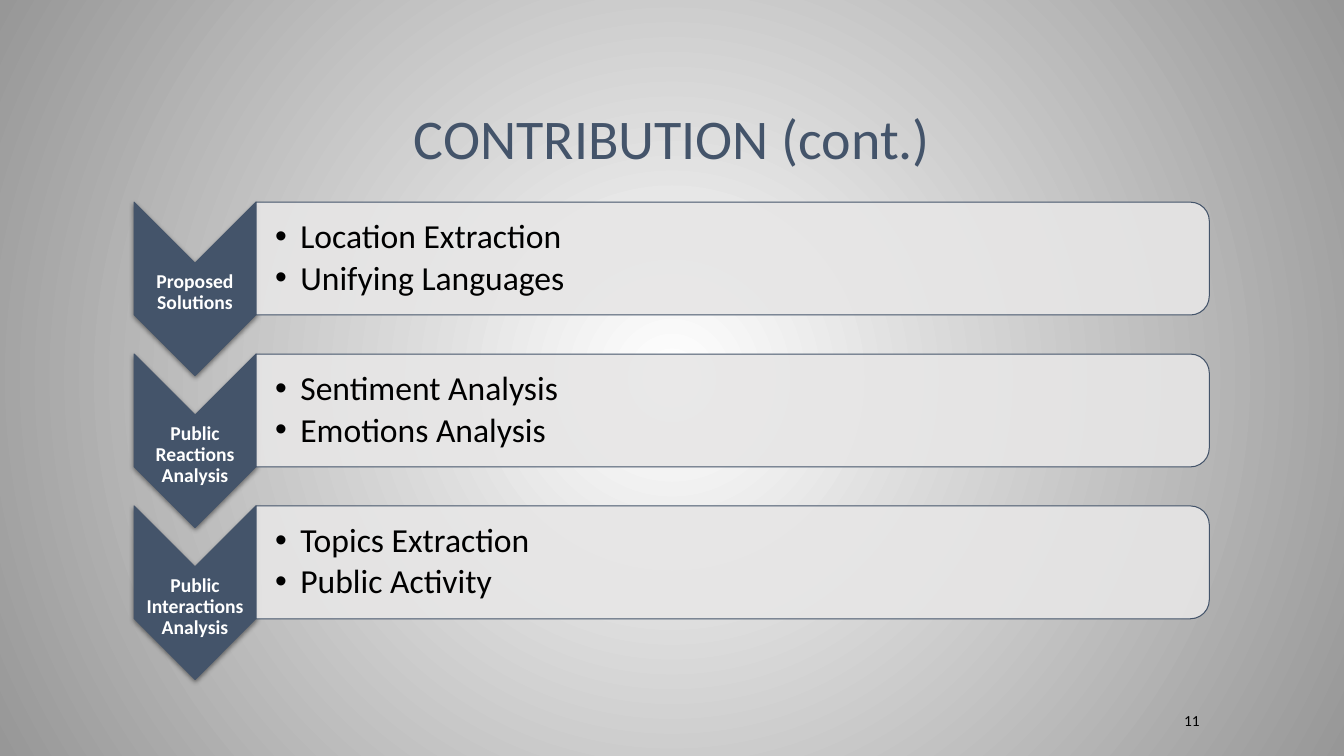
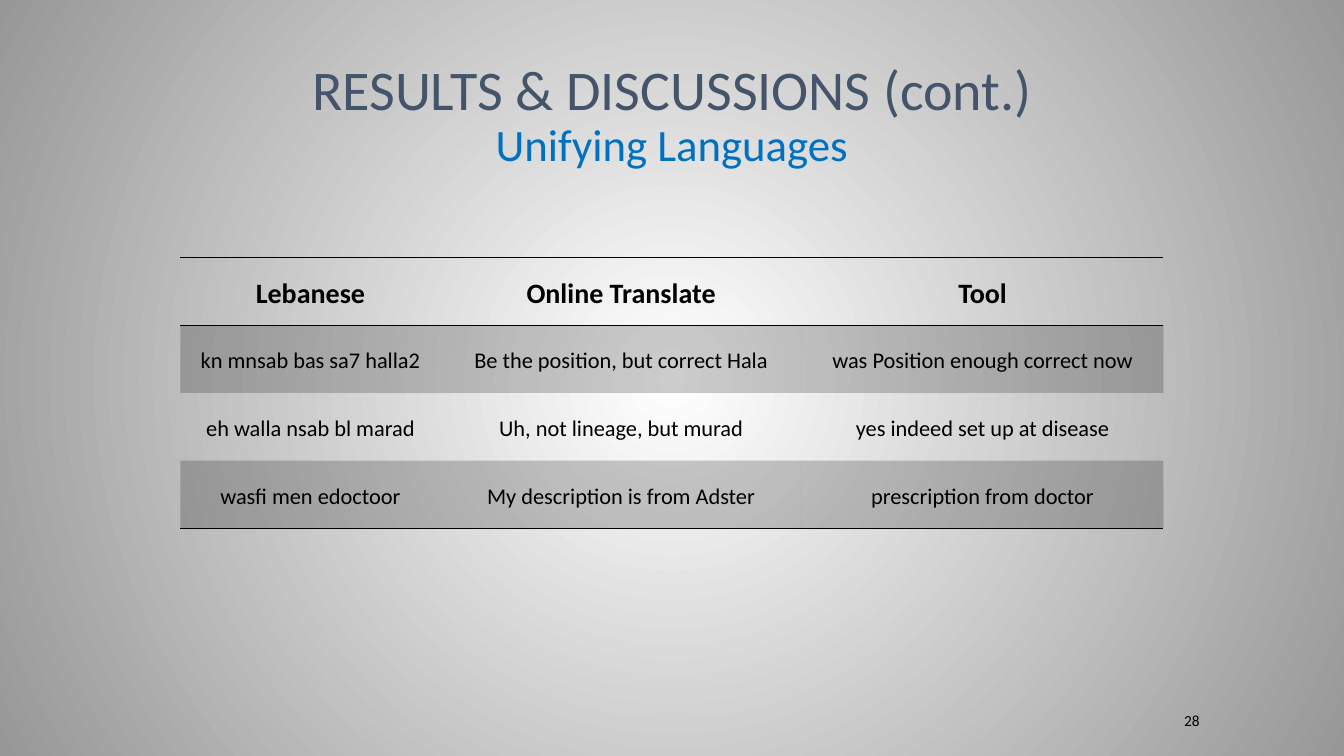
from lxml import etree
from pptx import Presentation
from pptx.dml.color import RGBColor
from pptx.enum import shapes, text
from pptx.oxml.ns import qn
from pptx.util import Pt

COLORS = {
    "navy": "44546A", "blue": "0070C0", "panel": "E7E6E6",
    "black": "000000", "white": "FFFFFF", "edge": "979797",
}
FONT = "Calibri"
NO_GRID_STYLE = "{2D5ABB26-0587-4C30-8999-92F81FD0307C}"
TITLE_BOX = (96, 21.6, 768, 104.4)
NUMBER_BOX = (774, 507.6, 90, 14.4)
STEPS_BOX = (95.76, 144.4, 768, 341)
TABLE_BOX = (128.9, 183.8, 702.1, 193.7)

STEPS = [
    ("Proposed Solutions", ["Location Extraction", "Unifying Languages"]),
    ("Public Reactions Analysis", ["Sentiment Analysis", "Emotions Analysis"]),
    ("Public Interactions Analysis", ["Topics Extraction", "Public Activity"]),
]
TRANSLATIONS = [
    ("Lebanese", "Online Translate", "Tool"),
    ("kn mnsab bas sa7 halla2", "Be the position, but correct Hala",
     "was Position enough correct now"),
    ("eh walla nsab bl marad", "Uh, not lineage, but murad",
     "yes indeed set up at disease"),
    ("wasfi men edoctoor", "My description is from Adster", "prescription from doctor"),
]


def rgb(name):
    """Return the named colour."""
    return RGBColor.from_string(COLORS[name])


def add_xml(parent, tag, **attributes):
    """Append a child element with the given attributes."""
    child = etree.SubElement(parent, qn(tag))
    for key, value in attributes.items():
        child.set(key, str(value))
    return child


def fill_solid(fill, color, opacity=100):
    """Fill with a colour, translucent if the opacity is below 100 percent."""
    fill.solid()
    fill.fore_color.rgb = rgb(color)
    if opacity < 100:
        add_xml(fill._xPr.find(".//" + qn("a:srgbClr")), "a:alpha", val=opacity * 1000)


def write(frame, content, size, color="black", bold=False, align="CENTER",
          spacing=0.9, after=0, bullet=False):
    """Add a formatted paragraph to a frame, using its empty first one if it can."""
    first = frame.paragraphs[0]
    paragraph = frame.add_paragraph() if first.runs else first
    paragraph.alignment = getattr(text.PP_ALIGN, align)
    paragraph.line_spacing = spacing
    paragraph.space_after = Pt(after)
    if bullet:
        properties = paragraph._p.get_or_add_pPr()
        properties.set("marL", str(Pt(18)))
        properties.set("indent", str(Pt(-18)))
        add_xml(properties, "a:buFont", typeface="Arial")
        add_xml(properties, "a:buChar", char="•")
    run = paragraph.add_run()
    run.text = content
    run.font.name = FONT
    run.font.size = Pt(size)
    run.font.bold = bold
    run.font.color.rgb = rgb(color)


def add_frame(slide, box, anchor="MIDDLE", insets=(7.2, 3.6, 7.2, 3.6)):
    """Add a wrapping text box and return its text frame."""
    frame = slide.shapes.add_textbox(*map(Pt, box)).text_frame
    frame.word_wrap = True
    frame.vertical_anchor = getattr(text.MSO_ANCHOR, anchor)
    (frame.margin_left, frame.margin_top,
     frame.margin_right, frame.margin_bottom) = map(Pt, insets)
    return frame


def add_turned(slide, kind, box, color, opacity=100):
    """Add a shape turned by 90 degrees so that it covers the box."""
    left, top, width, height = box
    shift = (width - height) / 2
    shape = slide.shapes.add_shape(
        kind, Pt(left + shift), Pt(top - shift), Pt(height), Pt(width))
    shape.rotation = 90
    shape.shadow.inherit = False
    fill_solid(shape.fill, color, opacity)
    shape.line.color.rgb = rgb("navy")
    shape.line.width = Pt(0.75)
    return shape


def add_step(slide, box, label, points):
    """Draw a chevron with its label and the panel of points beside it."""
    left, top, width, height = box
    arrow_width, panel_height = 87.1, 80.6
    panel_left, panel_width = left + arrow_width, width - arrow_width
    chevron = add_turned(slide, shapes.MSO_SHAPE.CHEVRON,
                         (left, top, arrow_width, height), "navy")
    effects = chevron._element.spPr.find(qn("a:effectLst"))
    shadow = add_xml(effects, "a:outerShdw", blurRad=Pt(3.5), dist=Pt(1.1),
                     dir=5400000, rotWithShape=0)
    shade = add_xml(shadow, "a:srgbClr", val=COLORS["black"])
    add_xml(shade, "a:alpha", val=45000)
    name = add_frame(slide, (left, top + 49, arrow_width, 46), "TOP", (0.7,) * 4)
    write(name, label, 14, "white", bold=True)

    add_turned(slide, shapes.MSO_SHAPE.ROUND_2_SAME_RECTANGLE,
               (panel_left, top, panel_width, panel_height), "panel", 90)
    details = add_frame(slide, (panel_left, top + 4, panel_width - 4, panel_height - 8),
                        insets=(13.7, 1.4, 1.4, 1.4))
    for point in points:
        write(details, point, 24, align="LEFT", after=3.6, bullet=True)


def add_steps(slide, box, steps):
    """Stack the steps, with overlapping chevrons, in the box."""
    left, top, width, height = box
    step_height = 124
    pitch = (height - step_height) / (len(steps) - 1)
    for index, (label, points) in enumerate(steps):
        add_step(slide, (left, top + index * pitch, width, step_height), label, points)


def rule_cell(cell, sides):
    """Draw black lines on the named sides of a cell."""
    properties = cell._tc.get_or_add_tcPr()
    for position, side in enumerate(sides):
        line = add_xml(properties, "a:ln" + side, w=Pt(1))
        add_xml(add_xml(line, "a:solidFill"), "a:srgbClr", val=COLORS["black"])
        properties.insert(position, line)


def add_comparison(slide, box, rows):
    """Add the table of translations with shaded odd rows."""
    width, height = box[2:]
    table = slide.shapes.add_table(len(rows), len(rows[0]), *map(Pt, box)).table
    table._tbl.tblPr.find(qn("a:tableStyleId")).text = NO_GRID_STYLE
    table.horz_banding = False
    first_width = 185.7
    other_width = (width - first_width) / (len(rows[0]) - 1)
    for index, column in enumerate(table.columns):
        column.width = Pt(other_width if index else first_width)
    for index, values in enumerate(rows):
        table.rows[index].height = Pt(height / len(rows))
        header = index == 0
        sides = "TB" if header else "B" if index == len(rows) - 1 else ""
        for cell, value in zip(table.rows[index].cells, values):
            cell.margin_left = cell.margin_right = Pt(5)
            cell.margin_top = cell.margin_bottom = 0
            cell.vertical_anchor = text.MSO_ANCHOR.MIDDLE
            write(cell.text_frame, value, 20 if header else 16, bold=header,
                  spacing=1.15, after=6)
            if index % 2:
                fill_solid(cell.fill, "black", 20)
            else:
                cell.fill.background()
            rule_cell(cell, sides)


def set_background(master):
    """Give the master a radial gradient from white to grey."""
    fill = master.background.fill
    fill.gradient()
    for stop, color, position in zip(fill.gradient_stops, ("white", "edge"), (0, 1)):
        stop.color.rgb = rgb(color)
        stop.position = position
    gradient = master.element.find(".//" + qn("a:gradFill"))
    gradient.remove(gradient.find(qn("a:lin")))
    center = add_xml(gradient, "a:path", path="circle")
    add_xml(center, "a:fillToRect", l=50000, t=50000, r=50000, b=50000)


def add_slide(deck, title, number, subtitle=None):
    """Add a slide with its title and number."""
    slide = deck.slides.add_slide(deck.slide_layouts[6])
    heading = add_frame(slide, TITLE_BOX, "BOTTOM")
    write(heading, title, 40, "navy")
    if subtitle:
        write(heading, subtitle, 32, "blue")
    write(add_frame(slide, NUMBER_BOX), number, 11, align="RIGHT", spacing=1.0)
    return slide


def main():
    """Build and save the deck."""
    deck = Presentation()
    deck.slide_width, deck.slide_height = Pt(960), Pt(540)
    set_background(deck.slide_master)
    contribution = add_slide(deck, "CONTRIBUTION (cont.)", "11")
    add_steps(contribution, STEPS_BOX, STEPS)
    results = add_slide(deck, "RESULTS & DISCUSSIONS (cont.)", "28", "Unifying Languages")
    add_comparison(results, TABLE_BOX, TRANSLATIONS)
    deck.save("out.pptx")


if __name__ == "__main__":
    main()
